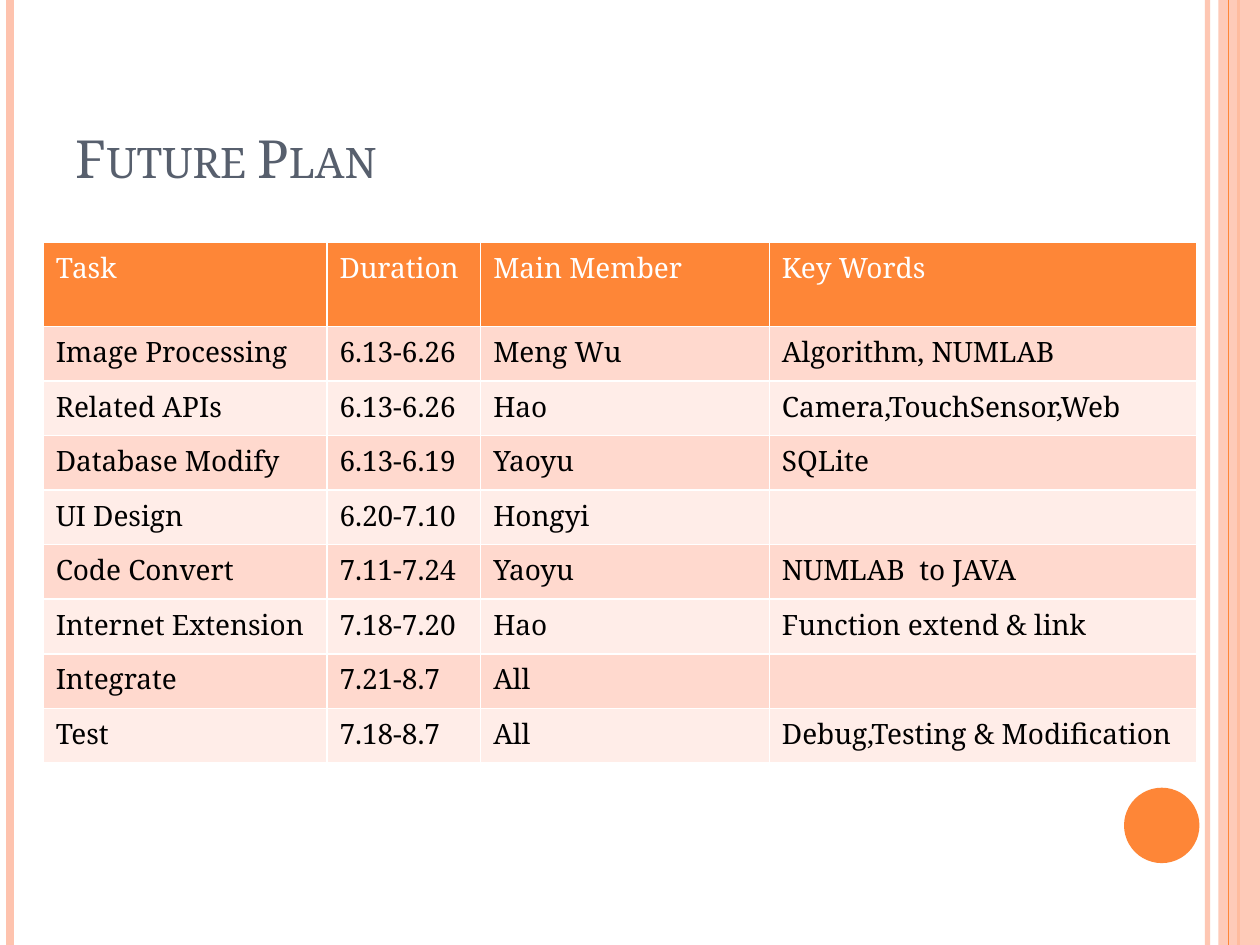
import pptx
import pptx.util
import pptx.dml.color
import pptx.enum.shapes
import pptx.enum.text
import pptx.oxml
import pptx.oxml.ns

Cm = pptx.util.Cm
Pt = pptx.util.Pt
RGB = pptx.dml.color.RGBColor
Kind = pptx.enum.shapes.MSO_SHAPE
qn = pptx.oxml.ns.qn

ORANGE = RGB(0xFE, 0x86, 0x37)
PEACH = RGB(0xFE, 0xC3, 0xAE)
SLATE = RGB(0x57, 0x5F, 0x6D)
DARK = RGB(0xFF, 0xD9, 0xCE)
PALE = RGB(0xFF, 0xED, 0xE8)
WHITE = RGB(0xFF, 0xFF, 0xFF)
BLACK = RGB(0, 0, 0)
FONT = "Noto Serif"

COLS = [5.72, 3.1, 5.82, 8.61]
HEAD, ROW = 1.7, 1.1
PLAN = [
    ["Task", "Duration", "Main Member", "Key Words"],
    ["Image Processing", "6.13-6.26", "Meng Wu", "Algorithm, NUMLAB"],
    ["Related APIs", "6.13-6.26", "Hao", "Camera,TouchSensor,Web"],
    ["Database Modify", "6.13-6.19", "Yaoyu", "SQLite"],
    ["UI Design", "6.20-7.10", "Hongyi", ""],
    ["Code Convert", "7.11-7.24", "Yaoyu", "NUMLAB  to JAVA"],
    ["Internet Extension", "7.18-7.20", "Hao", "Function extend & link"],
    ["Integrate", "7.21-8.7", "All", ""],
    ["Test", "7.18-8.7", "All", "Debug,Testing & Modification"],
]


def fade(part, share):
    for node in part.iter(qn("a:srgbClr")):
        alpha = pptx.oxml.parse_xml(
            f'<a:alpha {pptx.oxml.ns.nsdecls("a")} val="{share * 1000}"/>')
        node.append(alpha)


def style(para, size, color):
    for run in para.runs:
        run.font.name = FONT
        run.font.size = Pt(size)
        run.font.bold = False
        run.font.color.rgb = color


def stripe(slide, x, top, high, width, color):
    line = slide.shapes.add_connector(
        pptx.enum.shapes.MSO_CONNECTOR.STRAIGHT,
        Cm(x), Cm(top), Cm(x), Cm(top + high))
    line.line.color.rgb = color
    line.line.width = Pt(width)
    props = line._element.spPr
    props.append(props.makeelement(qn("a:effectLst"), {}))
    return line


def solid(slide, kind, left, top, wide, high, color):
    shape = slide.shapes.add_shape(kind, Cm(left), Cm(top), Cm(wide), Cm(high))
    shape.shadow.inherit = False
    shape.fill.solid()
    shape.fill.fore_color.rgb = color
    shape.line.fill.background()
    return shape


def frame(slide, left, top, wide, high):
    right = left + wide
    soft = stripe(slide, right - 1.06, top, high, 3, PEACH)
    fade(soft._element.spPr, 93)
    stripe(slide, left + 0.21, top, high, 4.5, PEACH)
    stripe(slide, right - 0.43, top, high, 1.5, ORANGE)
    band = solid(slide, Kind.RECTANGLE, right - 0.84, top, 0.84, high, PEACH)
    fade(band._element.spPr, 87)
    stripe(slide, right - 0.63, top, high, 0.75, ORANGE)
    solid(slide, Kind.OVAL, right - 2.74, top + high - 3.17, 1.52, 1.52, ORANGE)


def title(slide, left, top, wide, high):
    box = slide.shapes.title
    box.left, box.top, box.width, box.height = Cm(left), Cm(top), Cm(wide), Cm(high)
    text = box.text_frame
    text.text = "Future Plan"
    text.word_wrap = True
    text.vertical_anchor = pptx.enum.text.MSO_ANCHOR.BOTTOM
    para = text.paragraphs[0]
    para.alignment = pptx.enum.text.PP_ALIGN.LEFT
    style(para, 30, SLATE)
    para.runs[0].font._element.set("cap", "small")


def border(cell):
    props = cell._tc.get_or_add_tcPr()
    for side in "LRTB":
        props.append(pptx.oxml.parse_xml(
            f'<a:ln{side} {pptx.oxml.ns.nsdecls("a")} w="{Pt(1)}">'
            f'<a:solidFill><a:srgbClr val="{WHITE}"/></a:solidFill></a:ln{side}>'))


def table(slide, left, top):
    high = HEAD + ROW * (len(PLAN) - 1)
    grid = slide.shapes.add_table(
        len(PLAN), len(COLS), Cm(left), Cm(top), Cm(sum(COLS)), Cm(high)).table
    for col, wide in zip(grid.columns, COLS):
        col.width = Cm(wide)
    for i, words in enumerate(PLAN):
        grid.rows[i].height = Cm(ROW if i else HEAD)
        fill = (DARK if i % 2 else PALE) if i else ORANGE
        for j, word in enumerate(words):
            cell = grid.cell(i, j)
            border(cell)
            cell.fill.solid()
            cell.fill.fore_color.rgb = fill
            para = cell.text_frame.paragraphs[0]
            para.text = word
            para.font.size = Pt(16)
            style(para, 16, BLACK if i else WHITE)


def main():
    deck = pptx.Presentation()
    deck.slide_width, deck.slide_height = Cm(25.4), Cm(19.05)
    slide = deck.slides.add_slide(deck.slide_layouts[5])
    frame(slide, 0, 0, 25.4, 19.05)
    title(slide, 1.27, 0.76, 20.75, 3.18)
    table(slide, 0.87, 4.88)
    deck.save("out.pptx")


if __name__ == "__main__":
    main()
